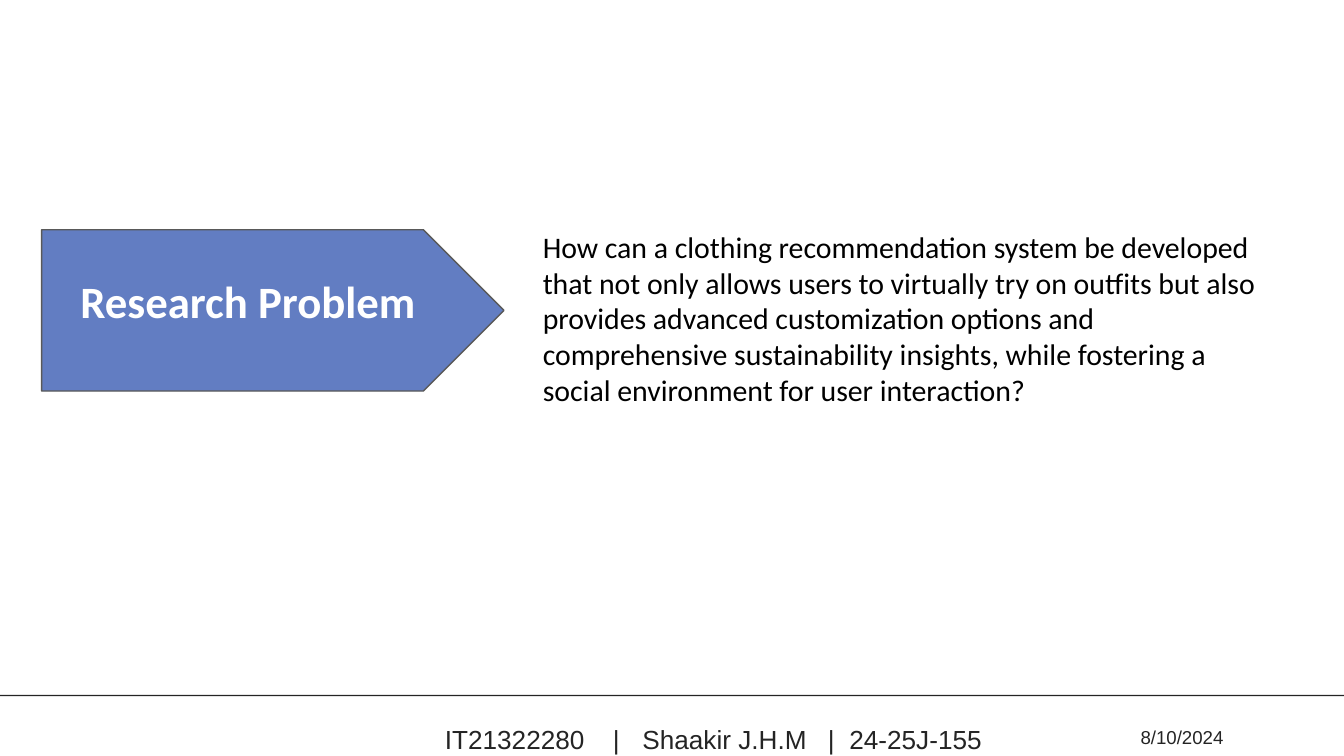
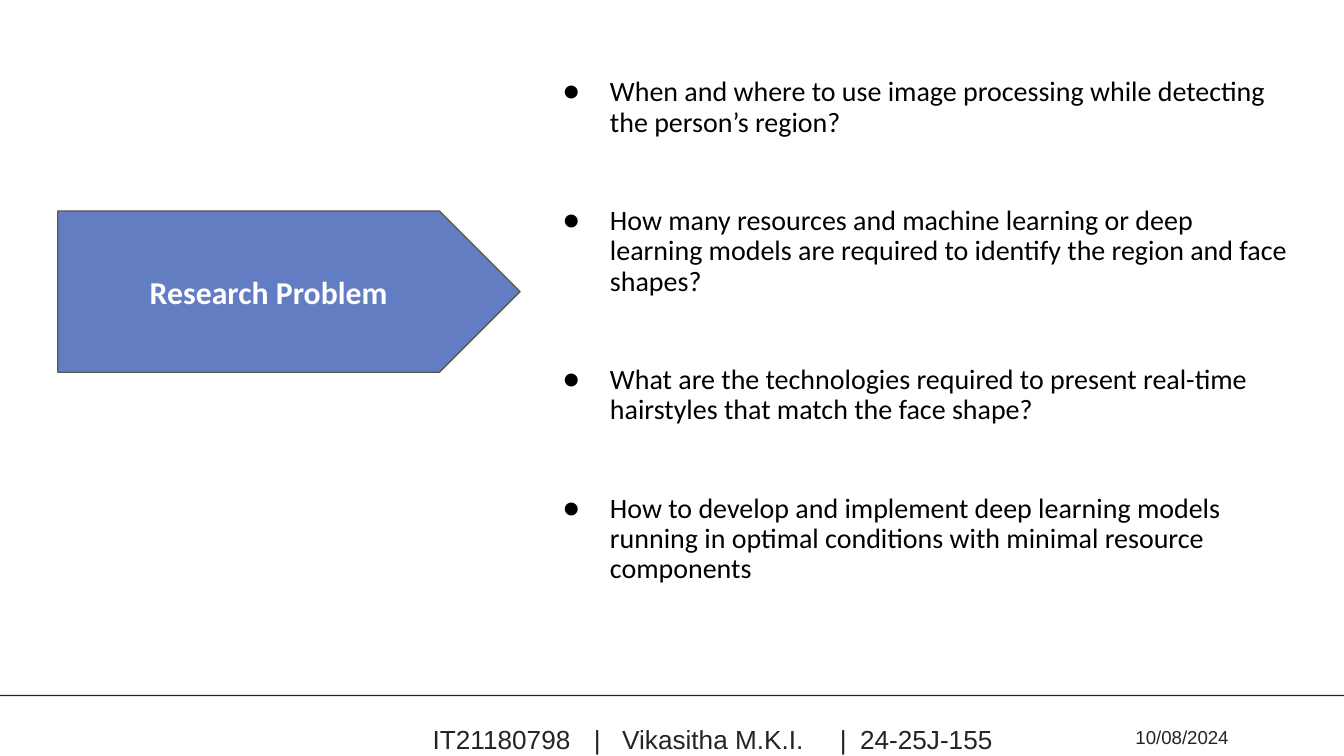
import dataclasses

import lxml.etree
import pptx
import pptx.dml.color
import pptx.enum.shapes
import pptx.enum.text
import pptx.oxml.ns
import pptx.util

Inches = pptx.util.Inches
Pt = pptx.util.Pt
ALIGN = pptx.enum.text.PP_ALIGN
ANCHOR = pptx.enum.text.MSO_ANCHOR
SHAPE = pptx.enum.shapes.MSO_SHAPE


@dataclasses.dataclass(frozen=True)
class Theme:
    ink: str = "242424"
    body: str = "000000"
    arrow: str = "627DC2"
    outline: str = "595959"
    white: str = "FFFFFF"
    body_font: str = "Calibri"
    footer_font: str = "Arial"
    heading_size: int = 24
    label_size: int = 17
    question_size: int = 16
    bullet_size: int = 15
    footer_size: int = 14
    date_size: int = 10
    inset: float = 0.1


T = Theme()
TITLE = "Research Problem"
SLIDE_WIDTH = 10
SLIDE_HEIGHT = SLIDE_WIDTH * 9 / 16
ARROW_SIZE = (3.44, 1.2)


def rgb(value):
    return pptx.dml.color.RGBColor.from_string(value)


def add_xml(parent, tag, **attrs):
    return lxml.etree.SubElement(parent, pptx.oxml.ns.qn(tag), attrs)


def add_bullet(p, indent, hanging):
    pPr = p._p.get_or_add_pPr()
    pPr.set("marL", str(Inches(indent)))
    pPr.set("indent", str(-Inches(hanging)))
    add_xml(add_xml(pPr, "a:buClr"), "a:srgbClr", val=T.body)
    add_xml(pPr, "a:buFont", typeface=T.body_font)
    add_xml(pPr, "a:buChar", char="●")


def add_tabs(p, stops):
    tabs = add_xml(p._p.get_or_add_pPr(), "a:tabLst")
    for stop in stops:
        add_xml(tabs, "a:tab", pos=str(Inches(stop)), algn="l")


def write(sp, *paragraphs, size, color=T.body, font=T.body_font, bold=False,
          align=ALIGN.LEFT, anchor=ANCHOR.TOP, margins=(T.inset,) * 4,
          spacing=None, first_before=0, before=0, bullets=False, tabs=()):
    """Fill a shape with formatted paragraphs; margins run left, top, right, bottom."""
    tf = sp.text_frame
    tf.word_wrap = True
    tf.vertical_anchor = anchor
    (tf.margin_left, tf.margin_top,
     tf.margin_right, tf.margin_bottom) = map(Inches, margins)
    for i, text in enumerate(paragraphs):
        p = tf.add_paragraph() if i else tf.paragraphs[0]
        p.alignment = align
        p.space_before = Pt(before if i else first_before)
        if spacing:
            p.line_spacing = spacing
        if bullets:
            add_bullet(p, 0.5, 0.35)
        if tabs:
            add_tabs(p, tabs)
        r = p.add_run()
        r.text = text
        r.font.name, r.font.size, r.font.bold = font, Pt(size), bold
        r.font.color.rgb = rgb(color)


def add_textbox(s, box, *paragraphs, **fmt):
    sp = s.shapes.add_textbox(*map(Inches, box))
    write(sp, *paragraphs, **fmt)
    return sp


def add_block(s, kind, box, fill, line=None):
    sp = s.shapes.add_shape(kind, *map(Inches, box))
    sp.shadow.inherit = False
    sp.fill.solid()
    sp.fill.fore_color.rgb = rgb(fill)
    if line:
        sp.line.color.rgb = rgb(line)
        sp.line.width = Pt(0.75)
    else:
        sp.line.fill.background()
    return sp


def add_footer(s, box, author, date, start, stops):
    """Rule, author line and date; the author's fields sit on tab stops."""
    x, y, w, _ = box
    add_block(s, SHAPE.RECTANGLE, (x, y, w, 0.01), T.ink)
    style = dict(color=T.ink, font=T.footer_font, spacing=1.3)
    parts = [
        add_textbox(s, (x + 2.26, y + 0.14, 6.1, 0.24), "\t|\t".join(author),
                    size=T.footer_size, margins=(start, 0, 0, 0),
                    tabs=stops, **style),
        add_textbox(s, (x + 8.36, y + 0.18, 0.87, 0.17), date,
                    size=T.date_size, margins=(0,) * 4,
                    align=ALIGN.CENTER, **style),
    ]
    for sp in parts:
        sp.text_frame.auto_size = pptx.enum.text.MSO_AUTO_SIZE.SHAPE_TO_FIT_TEXT


def add_arrow(s, box):
    return add_block(s, SHAPE.PENTAGON, box, T.arrow, T.outline)


def question_region(s, box, question):
    """Arrow with a large heading, and one question beside it."""
    x, y, _, h = box
    add_arrow(s, (x, y + 0.11, *ARROW_SIZE))
    add_textbox(s, (x + 0.19, y + 0.34, ARROW_SIZE[0], 0.87), TITLE,
                size=T.heading_size, color=T.white, bold=True)
    add_textbox(s, (x + 3.63, y, 5.58, h), question, size=T.question_size)


def bullets_region(s, box, questions):
    """Labelled arrow, and a bulleted list of questions beside it."""
    x, y, _, h = box
    add_textbox(s, (x + 3.51, y, 5.75, h), *questions, size=T.bullet_size,
                anchor=ANCHOR.MIDDLE, margins=(T.inset, T.inset, T.inset, 0.34),
                spacing=0.9, first_before=10, before=36.5, bullets=True)
    arrow = add_arrow(s, (x, y + 1.33, *ARROW_SIZE))
    write(arrow, TITLE, size=T.label_size, color=T.white, bold=True,
          align=ALIGN.CENTER, anchor=ANCHOR.MIDDLE)


def main():
    prs = pptx.Presentation()
    prs.slide_width, prs.slide_height = Inches(SLIDE_WIDTH), Inches(SLIDE_HEIGHT)
    blank = prs.slide_layouts[6]
    footer_box = (0, 5.17, SLIDE_WIDTH, 0.45)

    # Single question
    s = prs.slides.add_slide(blank)
    add_footer(s, footer_box, ("IT21322280", "Shaakir J.H.M", "24-25J-155"),
               "8/10/2024", 1.05, (1.25, 1.47, 2.85, 3.01))
    question_region(
        s, (0.31, 1.6, 9.21, 1.56),
        "How can a clothing recommendation system be developed that not only "
        "allows users to virtually try on outfits but also provides advanced "
        "customization options and comprehensive sustainability insights, "
        "while fostering a social environment for user interaction?")

    # List of questions
    s = prs.slides.add_slide(blank)
    add_footer(s, footer_box, ("IT21180798", "Vikasitha M.K.I.", "24-25J-155"),
               "10/08/2024", 0.96, (1.2, 1.41, 3.03, 3.18))
    bullets_region(s, (0.43, 0.24, 9.26, 4.69), (
        "When and where to use image processing while detecting the person’s "
        "region?",
        "How many resources and machine learning or deep learning models are "
        "required to identify the region and face shapes?",
        "What are the technologies required to present real-time hairstyles "
        "that match the face shape?",
        "How to develop and implement deep learning models running in optimal "
        "conditions with minimal resource components",
    ))

    prs.save("out.pptx")


if __name__ == "__main__":
    main()
